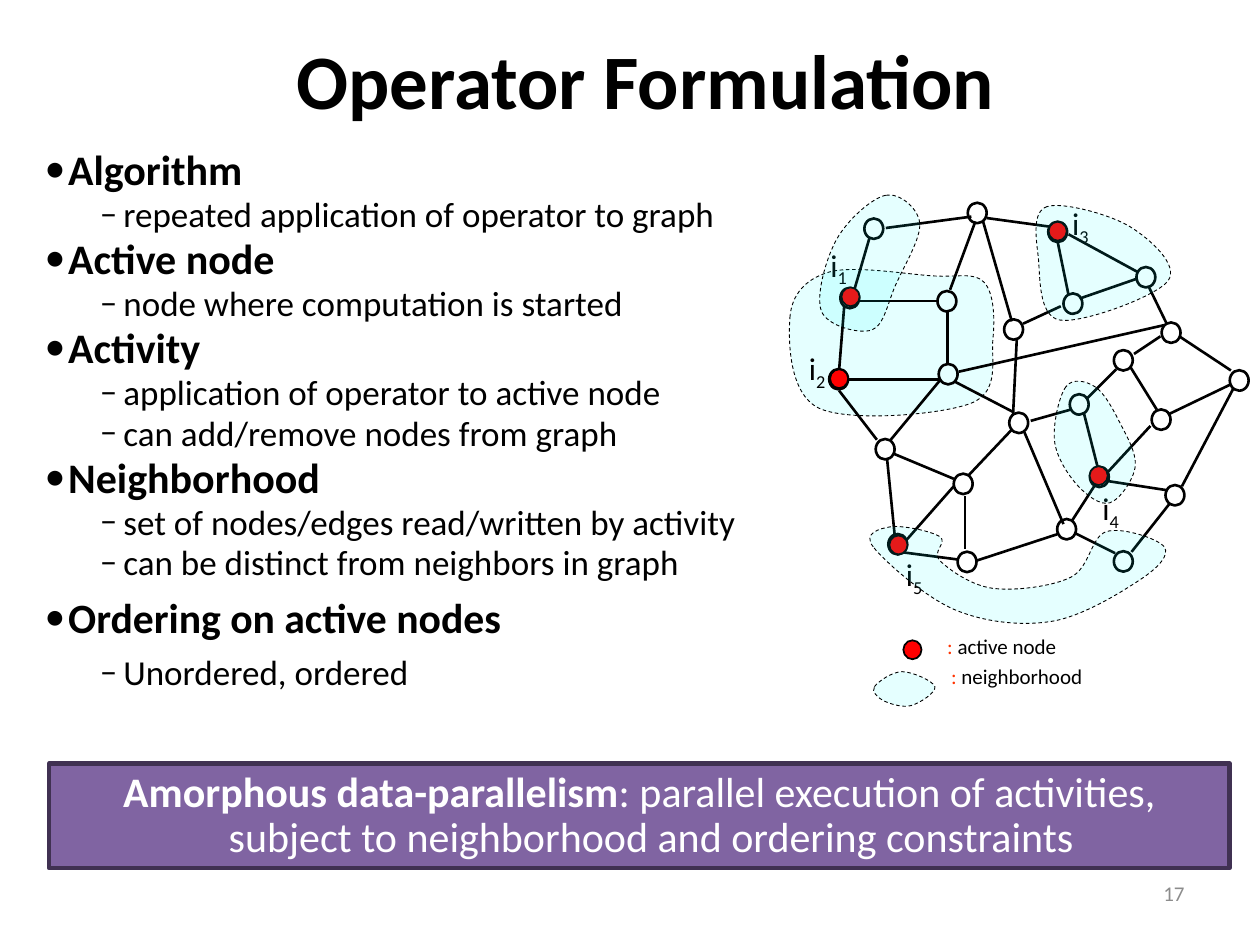
from dataclasses import dataclass
from typing import NamedTuple, Optional

from lxml.etree import SubElement
from pptx import Presentation
from pptx.dml.color import RGBColor
from pptx.enum.dml import MSO_LINE
from pptx.enum.shapes import MSO_CONNECTOR, MSO_SHAPE
from pptx.enum.text import MSO_ANCHOR as Anchor, PP_ALIGN as Align
from pptx.oxml.ns import qn
from pptx.util import Pt

FONT = "Calibri"
BLACK, WHITE, RED = "000000", "FFFFFF", "FF0000"


class Point(NamedTuple):
    x: float
    y: float


class Box(NamedTuple):
    left: float
    top: float
    width: float
    height: float


class Edge(NamedTuple):
    x1: float
    y1: float
    x2: float
    y2: float


@dataclass(frozen=True)
class Span:
    text: str
    size: float
    color: str = BLACK
    bold: bool = False
    baseline: int = 0


@dataclass(frozen=True)
class Para:
    spans: tuple[Span, ...]
    align: Align = Align.LEFT
    level: int = 0
    hang: Optional[float] = None
    bullet: str = ""
    line: float = 1.0
    before: float = 0
    after: float = 0


NODES = [Point(*center) for center in (
    (485.6, 170.3), (479.2, 216.7), (541.8, 213.8), (582.1, 241.6), (505.8, 256.7),
    (550.4, 276.5), (513, 311), (641.9, 320.8), (552.6, 321.1), (579.2, 188.3),
    (616.7, 231.1), (609.5, 302.4), (499.3, 130.7), (558.4, 121.7), (541.1, 172.1),
    (604.4, 132.5), (613.1, 173.5), (654.8, 158.4), (628.2, 272.5), (641.9, 205.9),
    (669.2, 190.1), (663.5, 239.8), (671.4, 283), (708.1, 217.4))]
EDGES = [Edge(*ends) for ends in (
    (496.8, 136.1, 488.2, 165.6), (506.2, 130.3, 555.1, 123.8), (491, 172.1, 535, 172.1),
    (557.3, 126.7, 542.9, 165.6), (482.4, 175, 479.5, 211.7), (479.5, 223.2, 501.1, 251.3),
    (509, 251.3, 537.1, 217.4), (484.6, 216.7, 536.4, 216.7), (541.4, 177.8, 541.4, 208.1),
    (561.6, 126, 578.2, 183.6), (511.2, 305.3, 506.9, 262.1), (517.7, 308.9, 545, 277.9),
    (510.5, 259.2, 545, 273.6), (553.7, 271.4, 578.2, 245.5), (545.8, 218.2, 578.9, 235.4),
    (514.1, 315.4, 547.2, 319.7), (551.5, 283.7, 551.5, 313.9), (558, 320.4, 604.1, 305.3),
    (563.8, 124.6, 600.5, 129.6), (604.1, 136.8, 610.6, 168.5), (584.6, 185, 606.2, 175),
    (610.6, 133.9, 650.2, 155.5), (589, 240.5, 612, 234), (581, 194.4, 578.9, 236.9),
    (621.4, 227.5, 637.9, 211), (612.7, 297.4, 625.7, 277.2), (614.2, 304.6, 637.2, 316.1),
    (619.2, 235.4, 627.1, 266.4), (632.2, 270.7, 657.4, 243.4), (645.8, 209.5, 661, 234),
    (617, 170.6, 650.2, 159.1), (667.4, 236.9, 703.4, 219.6), (648, 202.3, 663.1, 192.2),
    (656.6, 164.2, 666.7, 185), (673.9, 192.2, 703.4, 211.7), (646.6, 315.4, 668.2, 288),
    (675.4, 277.9, 704.9, 221.8), (633.6, 275, 666.7, 280.1), (585.4, 247, 607.7, 299.5),
    (547.9, 212.4, 665.3, 185.8))]
ACTIVE_NODES = [Point(*center) for center in (
    (486, 169.6), (513.4, 311.4), (627.8, 271.8), (604.4, 132.1), (479.5, 216.4))]
NODE_LABELS = {"1": Point(466.6, 136.8), "2": Point(454.3, 195.8), "3": Point(604.8, 113),
               "4": Point(622.1, 275.8), "5": Point(509.8, 313.9)}

NEIGHBORHOOD_2 = [(451.4, 181.4), (473.8, 155.5), (532.8, 157.7), (562.3, 161.3),
                  (567.4, 193.7), (555.1, 230.4), (468, 233.3)]
LEGEND_NEIGHBORHOOD = [(499.7, 392.4), (515.5, 383.8), (534.2, 392.4), (520.6, 403.2),
                       (504.7, 400.3)]
UPPER_NEIGHBORHOODS = [
    [(598.3, 118.1), (593.3, 146.9), (605.5, 182.9), (667.4, 160.6), (645.8, 129.6)],
    [(499, 312.5), (509, 301), (537.1, 306.7), (537.1, 320.4), (567.4, 336.2), (612, 329.8),
     (632.2, 303.8), (665.3, 312.5), (651.6, 331.2), (601.2, 355), (545.8, 348.5)],
    [(609.1, 221), (602.6, 252), (615.6, 277.2), (634.3, 287.3), (648.7, 266.4),
     (639.4, 240.5), (625.7, 221)],
    [(506.2, 111.6), (478.1, 136.8), (469.4, 177.8), (498.2, 188.6), (511.9, 162.7),
     (525.6, 127.4)],
]


def rgb(color: str) -> RGBColor:
    return RGBColor.from_string(color)


def fill_frame(frame, paras: list[Para], anchor: Anchor = Anchor.TOP, wrap: bool = True) -> None:
    frame.word_wrap = wrap
    frame.vertical_anchor = anchor
    for index, para in enumerate(paras):
        target = frame.paragraphs[0] if index == 0 else frame.add_paragraph()
        props = target._p.get_or_add_pPr()
        if para.hang is not None:
            props.set("marL", str(Pt(para.hang)))
            props.set("indent", str(-Pt(13.5)))
        if para.bullet:
            SubElement(props, qn("a:buFont")).set("typeface", FONT)
            SubElement(props, qn("a:buChar")).set("char", para.bullet)
        target.alignment = para.align
        target.level = para.level
        target.line_spacing = para.line
        target.space_before = Pt(para.before if index else 0)
        target.space_after = Pt(para.after)
        for span in para.spans:
            run = target.add_run()
            run.text = span.text
            run.font.name = FONT
            run.font.size = Pt(span.size)
            run.font.bold = span.bold
            run.font.color.rgb = rgb(span.color)
            if span.baseline:
                run._r.get_or_add_rPr().set("baseline", str(span.baseline * 1000))


def add_text(shapes, box: Box, paras: list[Para], anchor: Anchor = Anchor.TOP,
             wrap: bool = True) -> None:
    fill_frame(shapes.add_textbox(*map(Pt, box)).text_frame, paras, anchor, wrap)


def style(shape, fill: Optional[str], line: str, weight: float) -> None:
    shape.shadow.inherit = False
    if fill:
        shape.fill.solid()
        shape.fill.fore_color.rgb = rgb(fill)
    else:
        shape.fill.background()
    shape.line.color.rgb = rgb(line)
    shape.line.width = Pt(weight)


def add_node(shapes, center: Point, active: bool = False) -> None:
    width, height = (10.4, 10.8) if active else (10.8, 11.7)
    box = Box(center.x - width / 2, center.y - height / 2, width, height)
    node = shapes.add_shape(MSO_SHAPE.OVAL, *map(Pt, box))
    style(node, RED if active else None, BLACK, 1 if active else 1.5)


def add_edge(shapes, ends: Edge) -> None:
    edge = shapes.add_connector(MSO_CONNECTOR.STRAIGHT, *map(Pt, ends))
    edge.line.color.rgb = rgb(BLACK)
    edge.line.width = Pt(1.5)
    SubElement(edge._element.spPr, qn("a:effectLst"))


def curve_axis(before: float, start: float, end: float, after: float) -> tuple[float, ...]:
    return start + (end - before) / 6, end - (after - start) / 6, end


def add_neighborhood(shapes, knots: list[tuple[float, float]]) -> None:
    count = len(knots)
    outline = []
    for index in range(count):
        around = [knots[(index + offset) % count] for offset in (-1, 0, 1, 2)]
        xs, ys = (curve_axis(*axis) for axis in zip(*around))
        outline += [(Pt(x), Pt(y)) for x, y in zip(xs, ys)]
    builder = shapes.build_freeform(*map(Pt, knots[0]), scale=1.0)
    builder.add_line_segments(outline, close=True)
    region = builder.convert_to_shape()
    properties = region._element.spPr
    segments = list(properties.iter(qn("a:lnTo")))
    for first in range(0, len(segments), 3):
        curve = segments[first]
        for segment in segments[first + 1:first + 3]:
            curve.append(segment[0])
            segment.getparent().remove(segment)
        curve.tag = qn("a:cubicBezTo")
    style(region, "00FFFF", BLACK, 0.5)
    region.line.dash_style = MSO_LINE.DASH
    tint = properties.find(qn("a:solidFill")).find(qn("a:srgbClr"))
    SubElement(tint, qn("a:alpha")).set("val", "10000")


def heading(text: str, size: float = 24, after: float = 0) -> Para:
    return Para((Span(text, size, bold=True),), hang=13.5, bullet="•", line=0.8,
                before=4.6, after=after)


def detail(text: str, after: float = 0) -> Para:
    return Para((Span(text, 20),), level=1, hang=45, bullet="–", line=0.8,
                before=4, after=after)


def main() -> None:
    deck = Presentation()
    deck.slide_width, deck.slide_height = Pt(720), Pt(540)
    shapes = deck.slides.add_slide(deck.slide_layouts[6]).shapes

    title = Span("Operator Formulation", 44, bold=True)
    add_text(shapes, Box(36, 0, 666, 90), [Para((title,), Align.CENTER)], Anchor.MIDDLE)
    add_text(shapes, Box(18.4, 84.2, 450, 343.4), [
        heading("Algorithm"),
        detail("repeated application of operator to graph"),
        heading("Active node"),
        detail("node where computation is started"),
        heading("Activity"),
        detail("application of operator to active node"),
        detail("can add/remove nodes from graph"),
        heading("Neighborhood"),
        detail("set of nodes/edges read/written by activity"),
        detail("can be distinct from neighbors in graph", 6),
        heading("Ordering on active nodes", 23.8, 6),
        detail("Unordered, ordered", 6),
    ])

    add_neighborhood(shapes, NEIGHBORHOOD_2)
    for center in NODES:
        add_node(shapes, center)
    for ends in EDGES:
        add_edge(shapes, ends)
    for number, corner in NODE_LABELS.items():
        label = Para((Span("i", 18), Span(number, 18, baseline=-25)), Align.CENTER)
        add_text(shapes, Box(*corner, 25.2, 28.8), [label], wrap=False)

    add_node(shapes, Point(521.4, 371.3), active=True)
    add_neighborhood(shapes, LEGEND_NEIGHBORHOOD)
    for meaning, box in (("active node", Box(534.2, 360, 82.1, 20.2)),
                         ("neighborhood", Box(536.4, 377.3, 94.3, 20.2))):
        entry = Para((Span(": ", 12, "FF3300"), Span(meaning, 12)), line=0.9)
        add_text(shapes, box, [entry], wrap=False)

    for center in ACTIVE_NODES:
        add_node(shapes, center, active=True)
    for knots in UPPER_NEIGHBORHOODS:
        add_neighborhood(shapes, knots)

    banner = shapes.add_shape(MSO_SHAPE.RECTANGLE, *map(Pt, Box(28.1, 436.3, 674.6, 59.8)))
    style(banner, "8064A2", "403152", 2.5)
    claim = (Span("Amorphous data-parallelism", 24, WHITE, True),
             Span(": parallel execution of activities, subject to neighborhood "
                  "and ordering constraints", 24, WHITE))
    fill_frame(banner.text_frame, [Para(claim, Align.CENTER, hang=13.5, line=0.9)], Anchor.BOTTOM)
    page = Para((Span("17", 12, "8C8C8C"),), Align.RIGHT)
    add_text(shapes, Box(516.2, 491.8, 167.8, 37.4), [page], Anchor.MIDDLE)
    deck.save("out.pptx")


if __name__ == "__main__":
    main()
